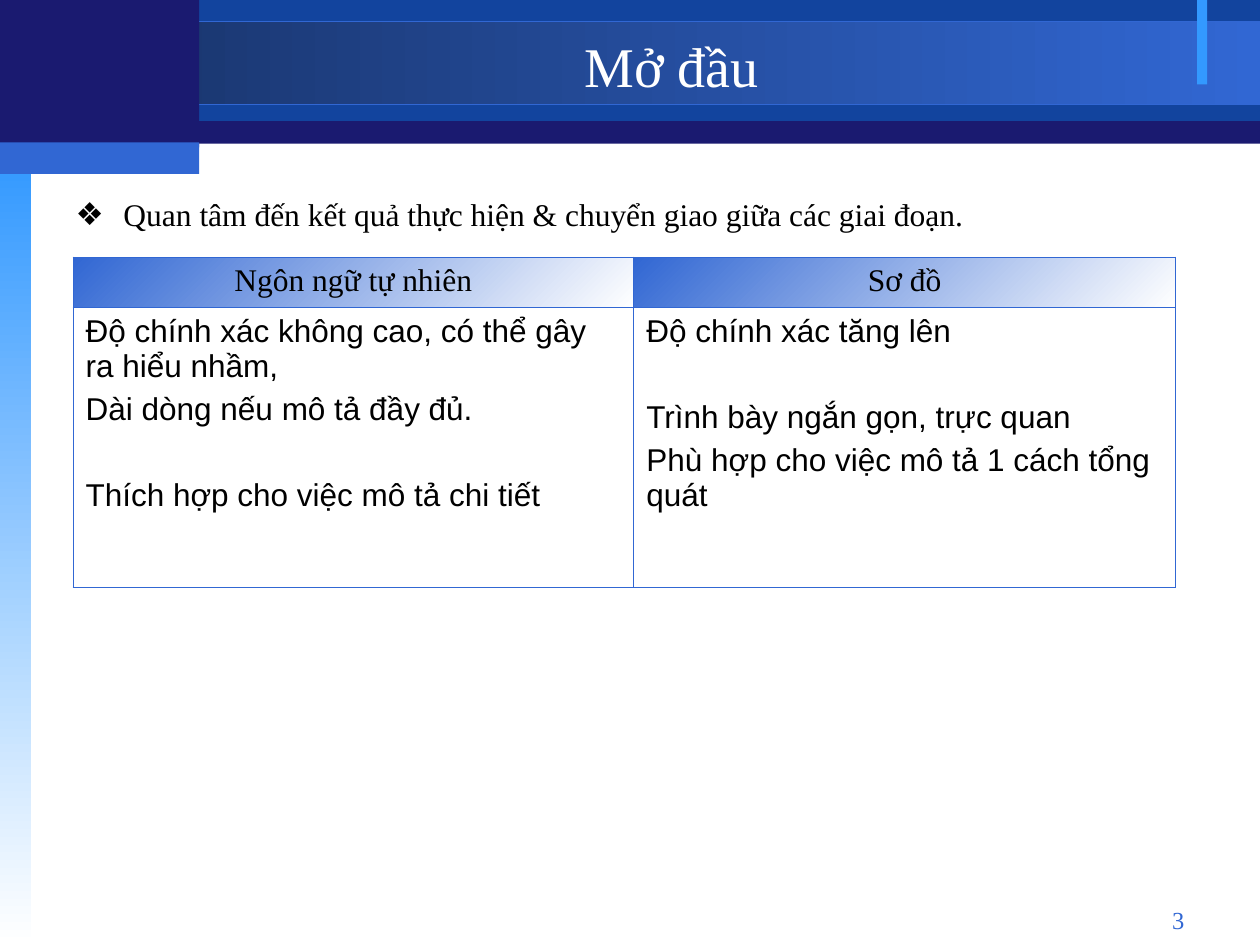
from lxml import etree
from pptx import Presentation
from pptx.dml.color import RGBColor
from pptx.enum.shapes import MSO_SHAPE
from pptx.enum.text import MSO_ANCHOR, MSO_AUTO_SIZE, PP_ALIGN
from pptx.oxml.ns import qn
from pptx.util import Inches, Pt

RECTANGLE = MSO_SHAPE.RECTANGLE
LEFT, CENTER, RIGHT = PP_ALIGN.LEFT, PP_ALIGN.CENTER, PP_ALIGN.RIGHT
TOP, MIDDLE = MSO_ANCHOR.TOP, MSO_ANCHOR.MIDDLE
SERIF, SANS = "Times New Roman", "Arial"
NAVY, DEEP_BLUE, BLUE, SKY = "1A1A70", "12449E", "3167D3", "3399FF"
WHITE, BLACK = "FFFFFF", "000000"

TITLE = "Mở đầu"
LEAD = "Quan tâm đến kết quả thực hiện & chuyển giao giữa các giai đoạn."
PAGE_NUMBER = "3"

NEAR, FAR = 4.5, 29  # points above a paragraph; FAR leaves one line open
COMPARISON = [
    ("Ngôn ngữ tự nhiên", [
        ("Độ chính xác không cao, có thể gây ra hiểu nhầm,", 0),
        ("Dài dòng nếu mô tả đầy đủ.", NEAR),
        ("Thích hợp cho việc mô tả chi tiết", FAR),
    ]),
    ("Sơ đồ", [
        ("Độ chính xác tăng lên", 0),
        ("Trình bày ngắn gọn, trực quan", FAR),
        ("Phù hợp cho việc mô tả 1 cách tổng quát", NEAR),
    ]),
]
COLUMN_WIDTHS = [4.45, 4.3]
ROW_HEIGHTS = [0.4, 2.22]

# left, top, width, height, fill (one colour, or two colours and a clockwise angle), outline
BANDS = [
    (0, 0.01, 10, 1.13, NAVY, None),
    (1.58, 0, 8.42, 0.96, DEEP_BLUE, None),
    (0, 0.17, 10, 0.66, ("173062", BLUE, 0), BLUE),
    (0, 1.25, 0.25, 6.25, (SKY, WHITE, 90), None),
    (9.5, 0, 0.08, 0.67, SKY, None),
    (0, 0, 1.58, 1.17, NAVY, None),
    (0, 1.13, 1.58, 0.25, BLUE, None),
]


def rgb(color):
    return RGBColor.from_string(color)


def paint(fill, colors):
    if isinstance(colors, str):
        fill.solid()
        fill.fore_color.rgb = rgb(colors)
        return
    start, end, angle = colors
    fill.gradient()
    fill.gradient_angle = -angle % 360  # python-pptx counts anticlockwise
    for stop, color in zip(fill.gradient_stops, (start, end)):
        stop.color.rgb = rgb(color)


def add_band(shapes, left, top, width, height, colors, outline):
    band = shapes.add_shape(RECTANGLE, *map(Inches, (left, top, width, height)))
    band.shadow.inherit = False
    paint(band.fill, colors)
    if outline:
        band.line.color.rgb = rgb(outline)
        band.line.width = Pt(0.75)
    else:
        band.line.fill.background()


def write(paragraph, text, size, font, color, align=LEFT, before=0):
    paragraph.alignment = align
    paragraph.space_before = Pt(before)
    run = paragraph.add_run()
    run.text = text
    run.font.size = Pt(size)
    run.font.name = font
    run.font.bold = False
    run.font.color.rgb = rgb(color)


def place(shape, left, top, width, height, anchor=TOP):
    """Position a text shape and return its first paragraph."""
    shape.left, shape.top, shape.width, shape.height = map(
        Inches, (left, top, width, height))
    frame = shape.text_frame
    frame.word_wrap = True
    frame.auto_size = MSO_AUTO_SIZE.NONE
    frame.vertical_anchor = anchor
    return frame.paragraphs[0]


def add_bullet(paragraph, char, indent):
    properties = paragraph._p.get_or_add_pPr()
    properties.set("marL", str(Inches(indent)))
    properties.set("indent", str(-Inches(indent)))
    color = etree.SubElement(properties, qn("a:buClr"))
    etree.SubElement(color, qn("a:srgbClr"), val=BLACK)
    etree.SubElement(properties, qn("a:buChar"), char=char)


def add_borders(cell, color, width):
    properties = cell._tc.get_or_add_tcPr()
    for side in ("lnL", "lnR", "lnT", "lnB"):
        line = etree.SubElement(properties, qn(f"a:{side}"), w=str(Pt(width)))
        solid = etree.SubElement(line, qn("a:solidFill"))
        etree.SubElement(solid, qn("a:srgbClr"), val=color)


def add_comparison(shapes):
    table = shapes.add_table(
        len(ROW_HEIGHTS), len(COLUMN_WIDTHS), Inches(0.58), Inches(2.04),
        Inches(sum(COLUMN_WIDTHS)), Inches(sum(ROW_HEIGHTS))).table
    table.first_row = table.horz_banding = False
    for row, height in zip(table.rows, ROW_HEIGHTS):
        row.height = Inches(height)
    for index, (heading, points) in enumerate(COMPARISON):
        table.columns[index].width = Inches(COLUMN_WIDTHS[index])
        head, body = table.cell(0, index), table.cell(1, index)
        for cell, colors in ((head, (BLUE, WHITE, 45)), (body, WHITE)):
            add_borders(cell, BLUE, 0.45)
            paint(cell.fill, colors)
        write(head.text_frame.paragraphs[0], heading, 18, SERIF, BLACK, CENTER)
        frame = body.text_frame
        for number, (point, before) in enumerate(points):
            paragraph = frame.add_paragraph() if number else frame.paragraphs[0]
            write(paragraph, point, 18, SANS, BLACK, before=before)


def main():
    deck = Presentation()
    deck.slide_width, deck.slide_height = Inches(10), Inches(7.5)
    slide = deck.slides.add_slide(deck.slide_layouts[1])
    shapes = slide.shapes
    title, lead = shapes.title, slide.placeholders[1]

    for band in BANDS:
        add_band(shapes, *band)
    for placeholder in (title, lead):  # bring in front of the bands
        shapes._spTree.append(placeholder._element)

    write(place(title, 1.58, 0.23, 7.5, 0.58, MIDDLE), TITLE, 32, SERIF, WHITE, CENTER)
    lead_line = place(lead, 0.5, 1.5, 9, 0.42)
    add_bullet(lead_line, "❖", 0.38)
    write(lead_line, LEAD, 18, SERIF, BLACK)
    add_comparison(shapes)

    number_box = (7.17, 7.13, 2.33, 0.27)
    page_number = shapes.add_textbox(*map(Inches, number_box))
    write(place(page_number, *number_box), PAGE_NUMBER, 14, SERIF, BLUE, RIGHT)
    deck.save("out.pptx")


if __name__ == "__main__":
    main()
